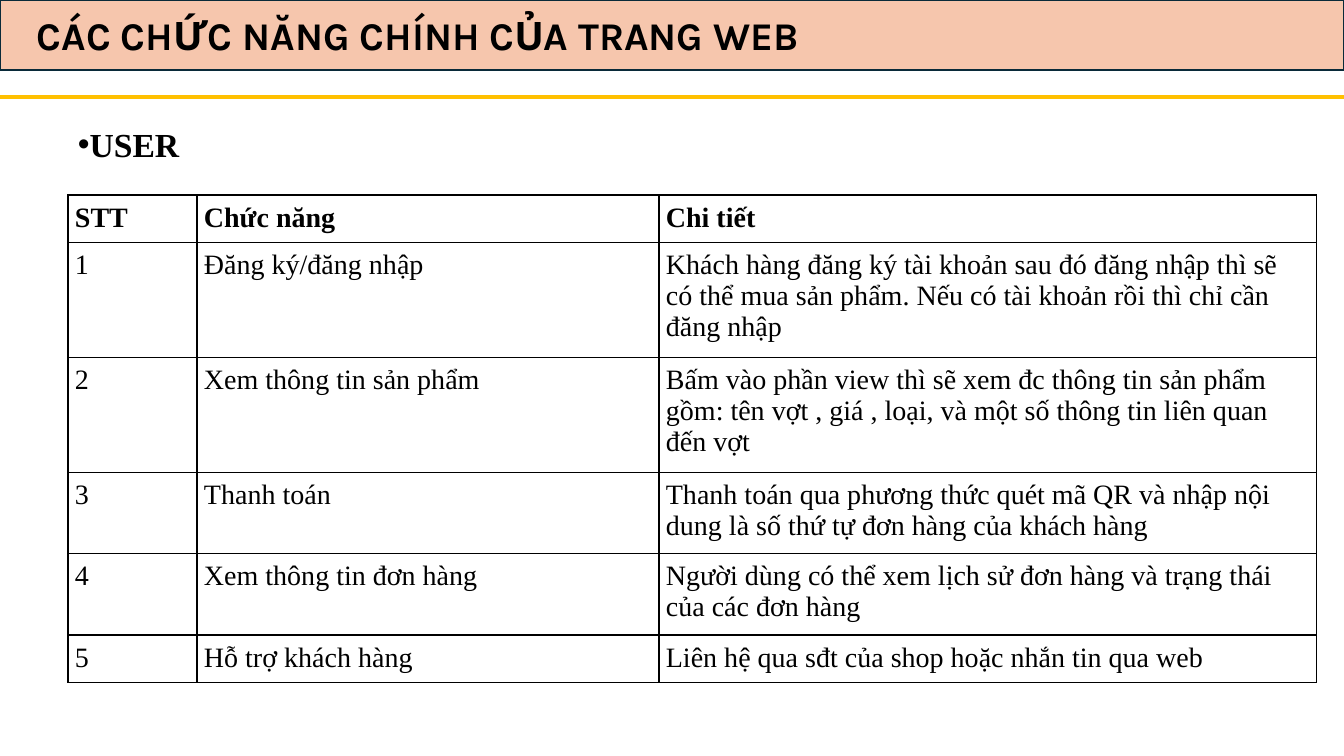
from dataclasses import dataclass

from lxml.etree import SubElement
from pptx import Presentation
from pptx.dml.color import RGBColor
from pptx.enum.shapes import MSO_CONNECTOR, MSO_SHAPE
from pptx.enum.text import MSO_ANCHOR
from pptx.oxml import parse_xml
from pptx.oxml.ns import nsdecls, qn
from pptx.util import Pt

PX_PER_INCH = 100.8


@dataclass(frozen=True)
class Theme:
    banner: str = "F6C6AD"
    banner_line: str = "092A39"
    rule: str = "FFC000"
    ink: str = "000000"
    paper: str = "FFFFFF"
    title_font: str = "Karla"
    body_font: str = "Times New Roman"
    title_size: int = 28
    heading_size: int = 24
    table_size: int = 20


THEME = Theme()
HEADER = ("STT", "Chức năng", "Chi tiết")
# Function, detail, lines of text in the row
FUNCTIONS = [
    ("Đăng ký/đăng nhập",
     "Khách hàng đăng ký tài khoản sau đó đăng nhập thì sẽ có thể mua sản phẩm. "
     "Nếu có tài khoản rồi thì chỉ cần đăng nhập", 3),
    ("Xem thông tin sản phẩm",
     "Bấm vào phần view thì sẽ xem đc thông tin sản phẩm gồm: tên vợt , giá , loại, "
     "và một số thông tin liên quan đến vợt", 3),
    ("Thanh toán",
     "Thanh toán qua phương thức quét mã QR và nhập nội dung là số thứ tự đơn hàng "
     "của khách hàng", 2),
    ("Xem thông tin đơn hàng",
     "Người dùng có thể xem lịch sử đơn hàng và trạng thái của các đơn hàng", 2),
    ("Hỗ trợ khách hàng", "Liên hệ qua sđt của shop hoặc nhắn tin qua web", 1),
]
COLUMN_WIDTHS = (129, 462, 658)
ROW_HEIGHT, EXTRA_LINE = 47, 34
CELL_INSET = 7


def px(n):
    return round(n * 914400 / PX_PER_INCH)


def rgb(value):
    return RGBColor.from_string(value)


def add_run(p, text, font, size, bold=False):
    r = p.add_run()
    r.text = text
    r.font.name = font
    r.font.size = Pt(size)
    r.font.bold = bold
    r.font.color.rgb = rgb(THEME.ink)


def add_banner(s, x, y, w, h):
    # Coloured bar
    bar = s.shapes.add_shape(MSO_SHAPE.RECTANGLE, px(x), px(y), px(w), px(h))
    bar.shadow.inherit = False
    bar.fill.solid()
    bar.fill.fore_color.rgb = rgb(THEME.banner)
    bar.line.color.rgb = rgb(THEME.banner_line)
    bar.line.width = Pt(1.5)

    # Rule below the bar
    rule_y = px(y + h + 27)
    rule = s.shapes.add_connector(MSO_CONNECTOR.STRAIGHT, px(x), rule_y, px(x + w), rule_y)
    rule.line.color.rgb = rgb(THEME.rule)
    rule.line.width = Pt(3)
    SubElement(rule._element.spPr, qn("a:effectLst"))

    # Title
    title = s.shapes.add_textbox(px(x + 27), px(y + 6), px(950), px(h - 13))
    tf = title.text_frame
    tf.word_wrap = True
    add_run(tf.paragraphs[0], "CÁC CHỨC NĂNG CHÍNH CỦA TRANG WEB",
            THEME.title_font, THEME.title_size, True)


def add_heading(s, x, y, w, h):
    box = s.shapes.add_textbox(px(x), px(y), px(w), px(h))
    tf = box.text_frame
    tf.word_wrap = True
    tf.vertical_anchor = MSO_ANCHOR.MIDDLE
    tf.margin_top = tf.margin_bottom = 0
    p = tf.paragraphs[0]
    pPr = p._p.get_or_add_pPr()
    SubElement(pPr, qn("a:buFont"), typeface="Arial")
    SubElement(pPr, qn("a:buChar"), char="•")
    add_run(p, "USER", THEME.body_font, THEME.heading_size, True)


def add_borders(cell):
    tcPr = cell._tc.get_or_add_tcPr()
    for i, side in enumerate(("lnL", "lnR", "lnT", "lnB")):
        tcPr.insert(i, parse_xml(
            f'<a:{side} {nsdecls("a")} w="{Pt(1)}"><a:solidFill>'
            f'<a:srgbClr val="{THEME.ink}"/></a:solidFill></a:{side}>'))


def fill_cell(cell, text, bold):
    cell.margin_left = cell.margin_right = px(CELL_INSET)
    cell.margin_top = cell.margin_bottom = px(CELL_INSET)
    cell.fill.solid()
    cell.fill.fore_color.rgb = rgb(THEME.paper)
    add_borders(cell)
    add_run(cell.text_frame.paragraphs[0], text, THEME.body_font, THEME.table_size, bold)


def add_function_table(s, x, y):
    rows = [HEADER] + [(str(n), name, detail)
                       for n, (name, detail, _) in enumerate(FUNCTIONS, 1)]
    lines = [1] + [count for _, _, count in FUNCTIONS]
    heights = [ROW_HEIGHT + EXTRA_LINE * (count - 1) for count in lines]
    table = s.shapes.add_table(len(rows), len(HEADER), px(x), px(y),
                               px(sum(COLUMN_WIDTHS)), px(sum(heights))).table
    table.first_row = table.horz_banding = False
    for column, width in zip(table.columns, COLUMN_WIDTHS):
        column.width = px(width)
    for i, (texts, height) in enumerate(zip(rows, heights)):
        table.rows[i].height = px(height)
        for j, text in enumerate(texts):
            fill_cell(table.cell(i, j), text, bold=i == 0)


def main():
    prs = Presentation()
    prs.slide_width, prs.slide_height = px(1344), px(756)
    s = prs.slides.add_slide(prs.slide_layouts[6])
    add_banner(s, 0, 0, 1344, 70)
    add_function_table(s, 68, 195)
    add_heading(s, 68, 124, 154, 40)
    prs.save("out.pptx")


if __name__ == "__main__":
    main()
